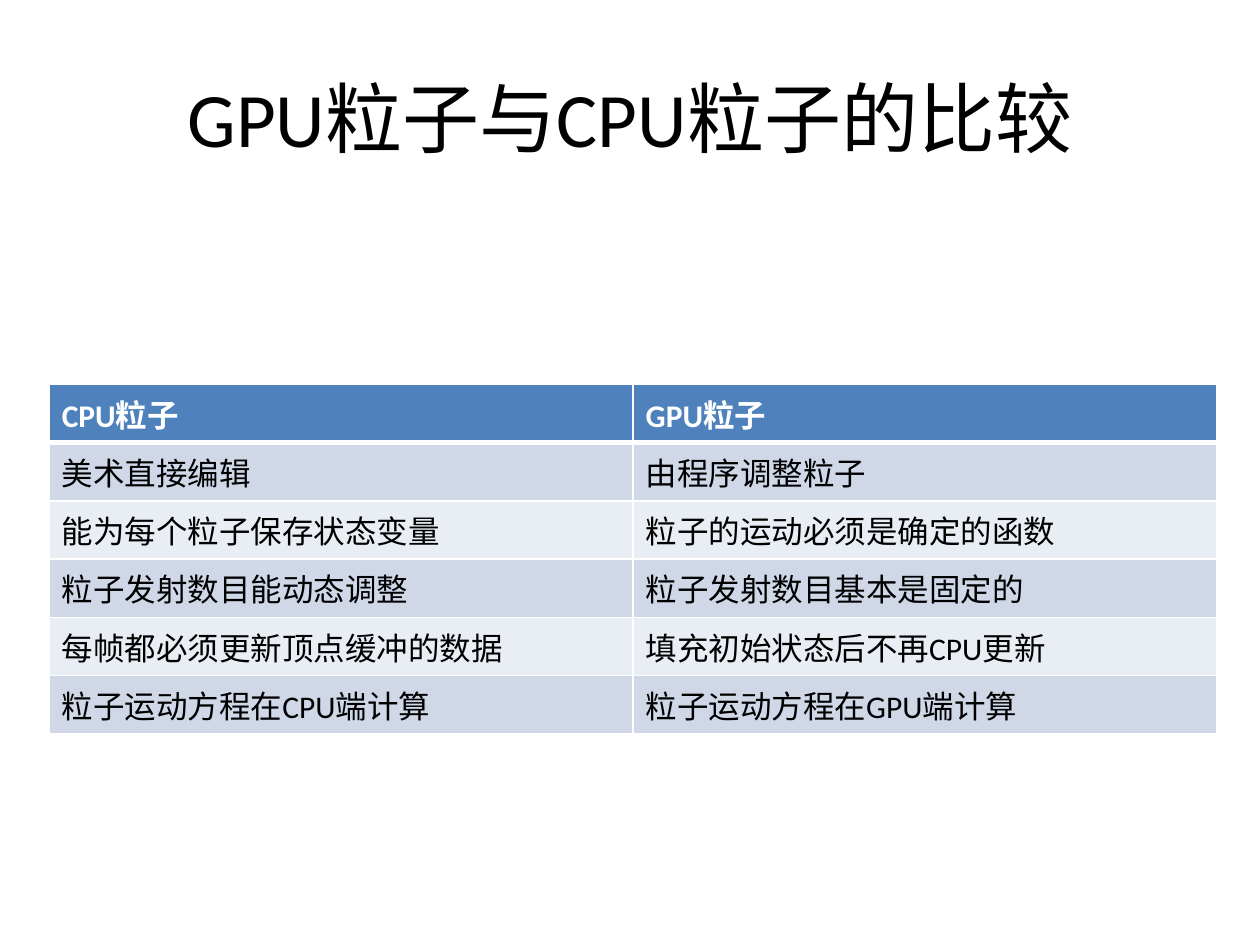
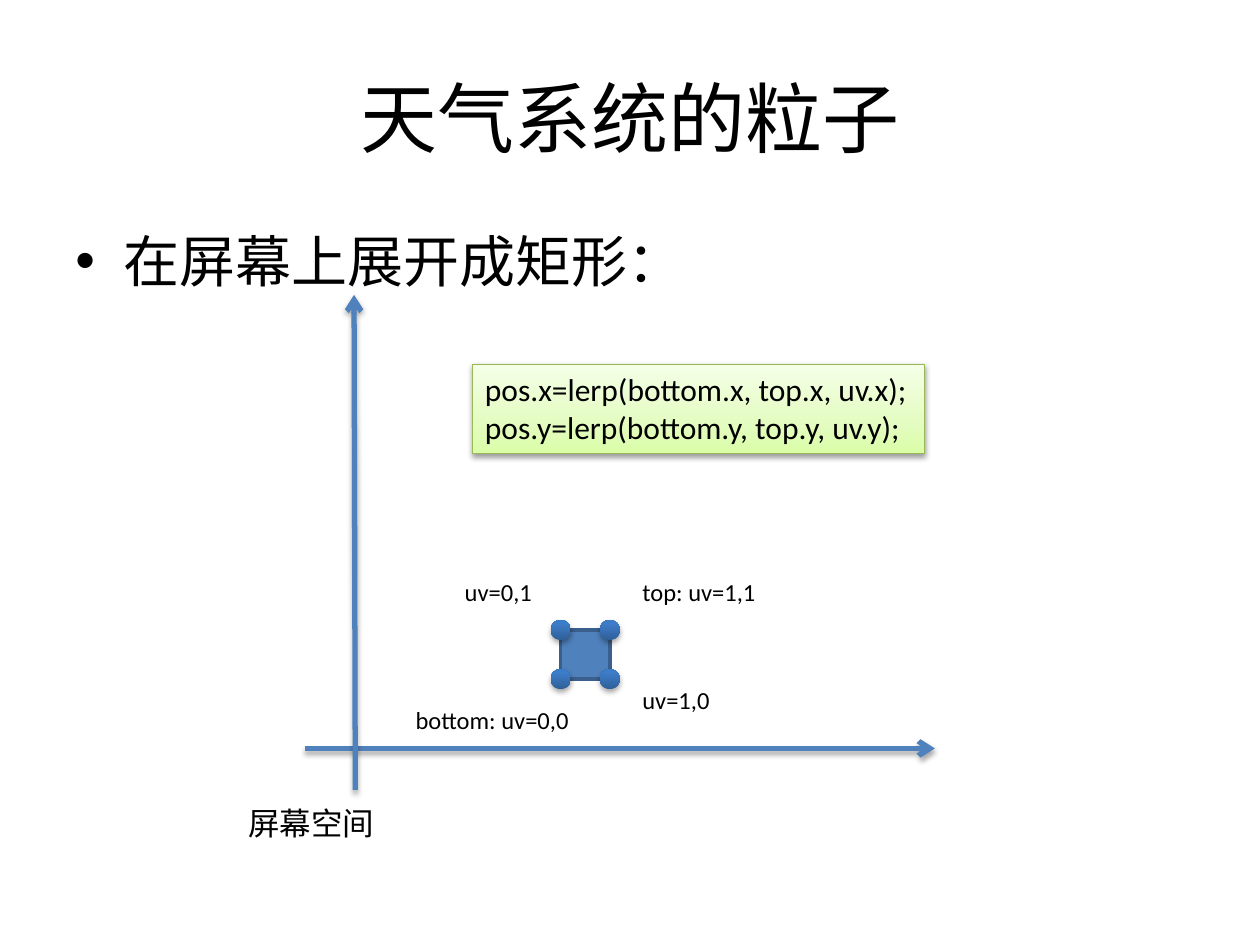
from dataclasses import dataclass
from itertools import product

from lxml import etree
from pptx import Presentation
from pptx.dml.color import RGBColor
from pptx.enum.lang import MSO_LANGUAGE_ID
from pptx.enum.shapes import MSO_CONNECTOR, MSO_SHAPE
from pptx.enum.text import MSO_ANCHOR, MSO_AUTO_SIZE, PP_ALIGN
from pptx.oxml.ns import qn
from pptx.util import Inches, Pt

RECTANGLE, OVAL = MSO_SHAPE.RECTANGLE, MSO_SHAPE.OVAL
STRAIGHT = MSO_CONNECTOR.STRAIGHT
LEFT, CENTER = PP_ALIGN.LEFT, PP_ALIGN.CENTER
TOP, MIDDLE = MSO_ANCHOR.TOP, MSO_ANCHOR.MIDDLE
FIT_SHAPE, NO_FIT = MSO_AUTO_SIZE.SHAPE_TO_FIT_TEXT, MSO_AUTO_SIZE.NONE
CHINESE = MSO_LANGUAGE_ID.SIMPLIFIED_CHINESE


@dataclass(frozen=True)
class Theme:
    font: str = "Calibri"
    ink: str = "000000"
    paper: str = "FFFFFF"
    accent: str = "4F81BD"
    accent_edge: str = "3A5F8C"
    code_edge: str = "98B955"
    bands: tuple = ("D0D8E8", "E9EDF4")
    dot_stops: tuple = ((0, "2F5F99"), (80, "3D7CC7"), (100, "3A7CCB"))
    code_stops: tuple = ((0, "DAFDA7"), (35, "E4FCC2"), (100, "F5FFE7"))
    title: int = 44
    bullet: int = 32
    text: int = 18
    label: int = 14


def apply_format(target, values):
    for name, value in values.items():
        setattr(target, name, value)


def add_node(parent, tag, **attributes):
    node = etree.SubElement(parent, qn(tag))
    for name, value in attributes.items():
        node.set(name, str(value))
    return node


def add_color(parent, color):
    return add_node(parent, "a:srgbClr", val=color)


class Deck:
    def __init__(self, theme):
        self.theme = theme
        self.file = Presentation()
        apply_format(self.file, {"slide_width": Inches(10), "slide_height": Inches(7.5)})
        self.slide = None

    def new_slide(self, title):
        self.slide = self.file.slides.add_slide(self.file.slide_layouts[5])
        heading = self.slide.shapes.title
        self.place(heading, 0.5, 0.3, 9, 1.25)
        heading.text_frame.vertical_anchor = MIDDLE
        self.set_lines(heading.text_frame, [title], self.theme.title, align=CENTER)

    def place(self, shape, left, top, width, height):
        apply_format(shape, {"left": Inches(left), "top": Inches(top),
                             "width": Inches(width), "height": Inches(height)})

    def set_lines(self, frame, lines, size, color=None, bold=False, align=LEFT):
        for index, line in enumerate(lines):
            paragraph = frame.add_paragraph() if index else frame.paragraphs[0]
            paragraph.alignment = align
            run = paragraph.add_run()
            run.text = line
            apply_format(run.font, {"name": self.theme.font, "size": Pt(size),
                                    "bold": bold, "language_id": CHINESE})
            run.font.color.rgb = RGBColor.from_string(color or self.theme.ink)

    def text(self, lines, box, size, wrap=False):
        label = self.slide.shapes.add_textbox(*map(Inches, box))
        apply_format(label.text_frame, {"word_wrap": wrap,
                                        "auto_size": NO_FIT if wrap else FIT_SHAPE})
        self.set_lines(label.text_frame, lines, size)
        return label

    def bullet(self, line, box):
        item = self.text([line], box, self.theme.bullet, wrap=True)
        paragraph = item.text_frame.paragraphs[0]
        paragraph.space_before = Pt(0.2 * self.theme.bullet)
        indent = Inches(0.38)
        properties = paragraph._p.get_or_add_pPr()
        properties.set("marL", str(indent))
        properties.set("indent", str(-indent))
        add_node(properties, "a:buFont", typeface="Arial")
        add_node(properties, "a:buChar", char="•")

    def shape(self, kind, box, fill, edge=None, edge_width=1, shadow=None):
        """A fill is one colour, or gradient stops running from bottom to top."""
        figure = self.slide.shapes.add_shape(kind, *map(Inches, box))
        if isinstance(fill, str):
            figure.fill.solid()
            figure.fill.fore_color.rgb = RGBColor.from_string(fill)
        else:
            figure.fill.gradient()
            figure.fill.gradient_angle = 90
            stops = figure._element.spPr.find(".//" + qn("a:gsLst"))
            stops.clear()
            for position, color in fill:
                add_color(add_node(stops, "a:gs", pos=position * 1000), color)
        if edge:
            figure.line.color.rgb = RGBColor.from_string(edge)
            figure.line.width = Pt(edge_width)
        else:
            figure.line.fill.background()
        figure.shadow.inherit = False
        if shadow:
            self.cast_shadow(figure._element.spPr.find(qn("a:effectLst")), *shadow)
        return figure

    def cast_shadow(self, effects, opacity, distance):
        outer = add_node(effects, "a:outerShdw", blurRad=Pt(3.1), dist=Pt(distance),
                         dir=90 * 60000, rotWithShape=0)
        add_node(add_color(outer, self.theme.ink), "a:alpha", val=opacity * 1000)

    def code(self, lines, box):
        panel = self.shape(RECTANGLE, box, self.theme.code_stops,
                           self.theme.code_edge, 0.75, shadow=(38, 1.6))
        apply_format(panel.text_frame, {"word_wrap": False, "auto_size": FIT_SHAPE,
                                        "vertical_anchor": TOP})
        self.set_lines(panel.text_frame, lines, self.theme.text)

    def arrow(self, start, end):
        axis = self.slide.shapes.add_connector(STRAIGHT, *map(Inches, start + end))
        axis.line.color.rgb = RGBColor.from_string(self.theme.accent)
        axis.line.width = Pt(3)
        properties = axis._element.spPr
        add_node(properties.find(qn("a:ln")), "a:tailEnd", type="arrow")
        self.cast_shadow(add_node(properties, "a:effectLst"), 35, 1.8)

    def table(self, rows, box):
        frame = self.slide.shapes.add_table(len(rows), len(rows[0]), *map(Inches, box))
        for row, values in enumerate(rows):
            for column, value in enumerate(values):
                self.cell(frame.table.cell(row, column), value, row)

    def cell(self, cell, value, row):
        theme, header = self.theme, row == 0
        widths = {"L": 1, "R": 1, "T": 3 if row == 1 else 1, "B": 3 if header else 1}
        properties = cell._tc.get_or_add_tcPr()
        for side, width in widths.items():
            border = add_node(properties, f"a:ln{side}", w=Pt(width))
            add_color(add_node(border, "a:solidFill"), theme.paper)
        cell.fill.solid()
        fill = theme.accent if header else theme.bands[(row - 1) % 2]
        cell.fill.fore_color.rgb = RGBColor.from_string(fill)
        self.set_lines(cell.text_frame, [value], theme.text,
                       theme.paper if header else theme.ink, bold=header)


def add_comparison(deck):
    deck.new_slide("GPU粒子与CPU粒子的比较")
    deck.table([
        ("CPU粒子", "GPU粒子"),
        ("美术直接编辑", "由程序调整粒子"),
        ("能为每个粒子保存状态变量", "粒子的运动必须是确定的函数"),
        ("粒子发射数目能动态调整", "粒子发射数目基本是固定的"),
        ("每帧都必须更新顶点缓冲的数据", "填充初始状态后不再CPU更新"),
        ("粒子运动方程在CPU端计算", "粒子运动方程在GPU端计算"),
    ], (0.39, 3.05, 9.27, 2.4))


def add_weather_particles(deck):
    theme = deck.theme
    deck.new_slide("天气系统的粒子")
    deck.bullet("在屏幕上展开成矩形：", (0.5, 1.75, 9, 0.59))

    # Particle quad, behind the axes
    quad_left, quad_top, quad_side, dot = 4.45, 5, 0.39, 0.16
    deck.shape(RECTANGLE, (quad_left, quad_top, quad_side, quad_side),
               theme.accent, theme.accent_edge, 2)

    # Screen-space axes
    deck.arrow((2.42, 5.94), (7.42, 5.94))
    deck.arrow((2.82, 6.27), (2.81, 2.34))
    deck.text(["屏幕空间"], (1.87, 6.33, 1.21, 0.4), theme.text)

    # A dot centred on each corner
    for across, down in product((0, quad_side), repeat=2):
        corner = (quad_left + across - dot / 2, quad_top + down - dot / 2, dot, dot)
        deck.shape(OVAL, corner, theme.dot_stops, shadow=(35, 1.8))

    # Corner coordinates
    for coordinate, left, top, width in (
        ("uv=0,1", 3.59, 4.53, 0.74),
        ("top: uv=1,1", 5, 4.53, 1.11),
        ("bottom: uv=0,0", 3.2, 5.55, 1.43),
        ("uv=1,0", 5, 5.39, 0.74),
    ):
        deck.text([coordinate], (left, top, width, 0.34), theme.label)

    # Interpolation code
    deck.code(["pos.x=lerp(bottom.x, top.x, uv.x);",
               "pos.y=lerp(bottom.y, top.y, uv.y);"], (3.75, 2.89, 3.59, 0.71))


def main():
    deck = Deck(Theme())
    add_comparison(deck)
    add_weather_particles(deck)
    deck.file.save("out.pptx")


if __name__ == "__main__":
    main()
